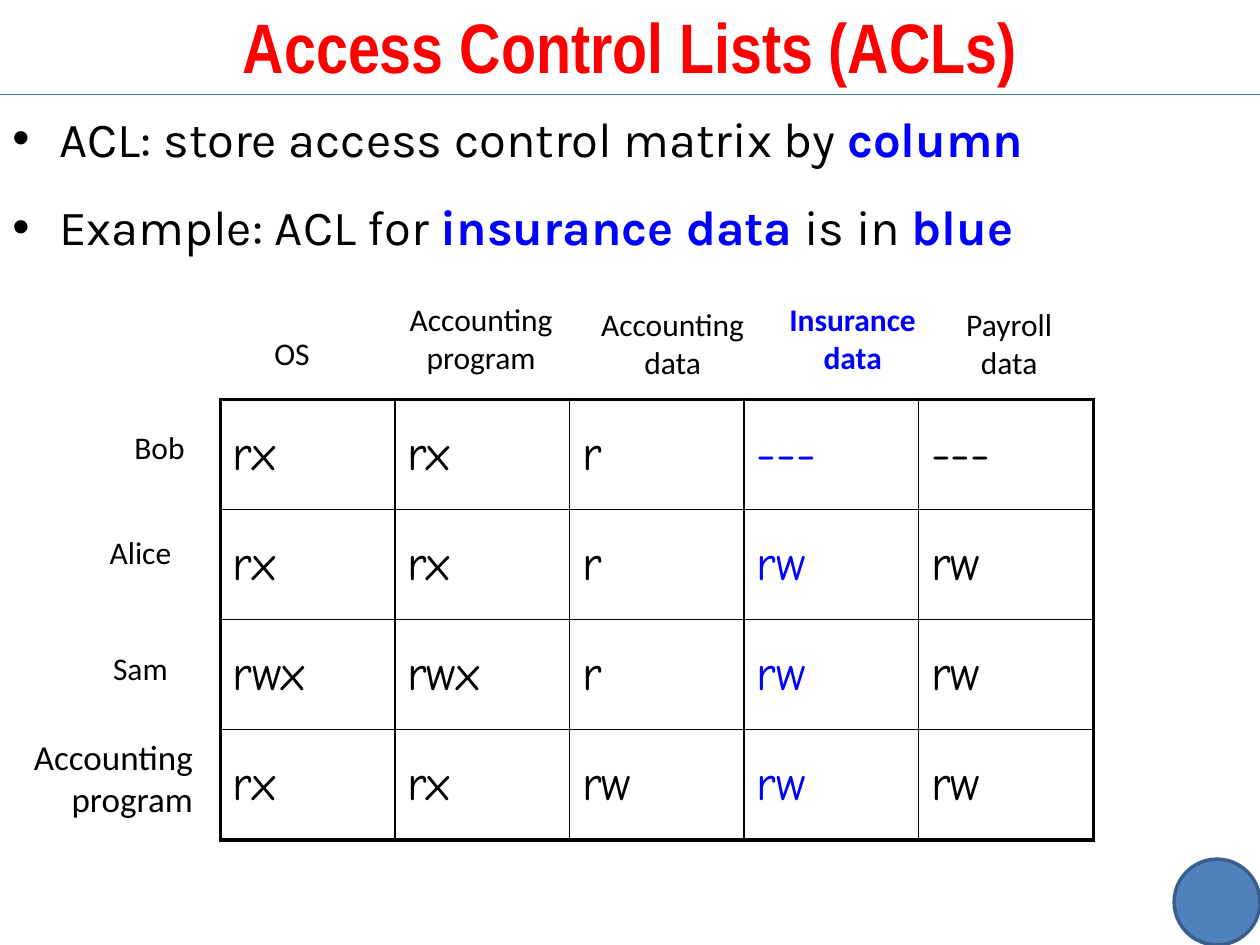
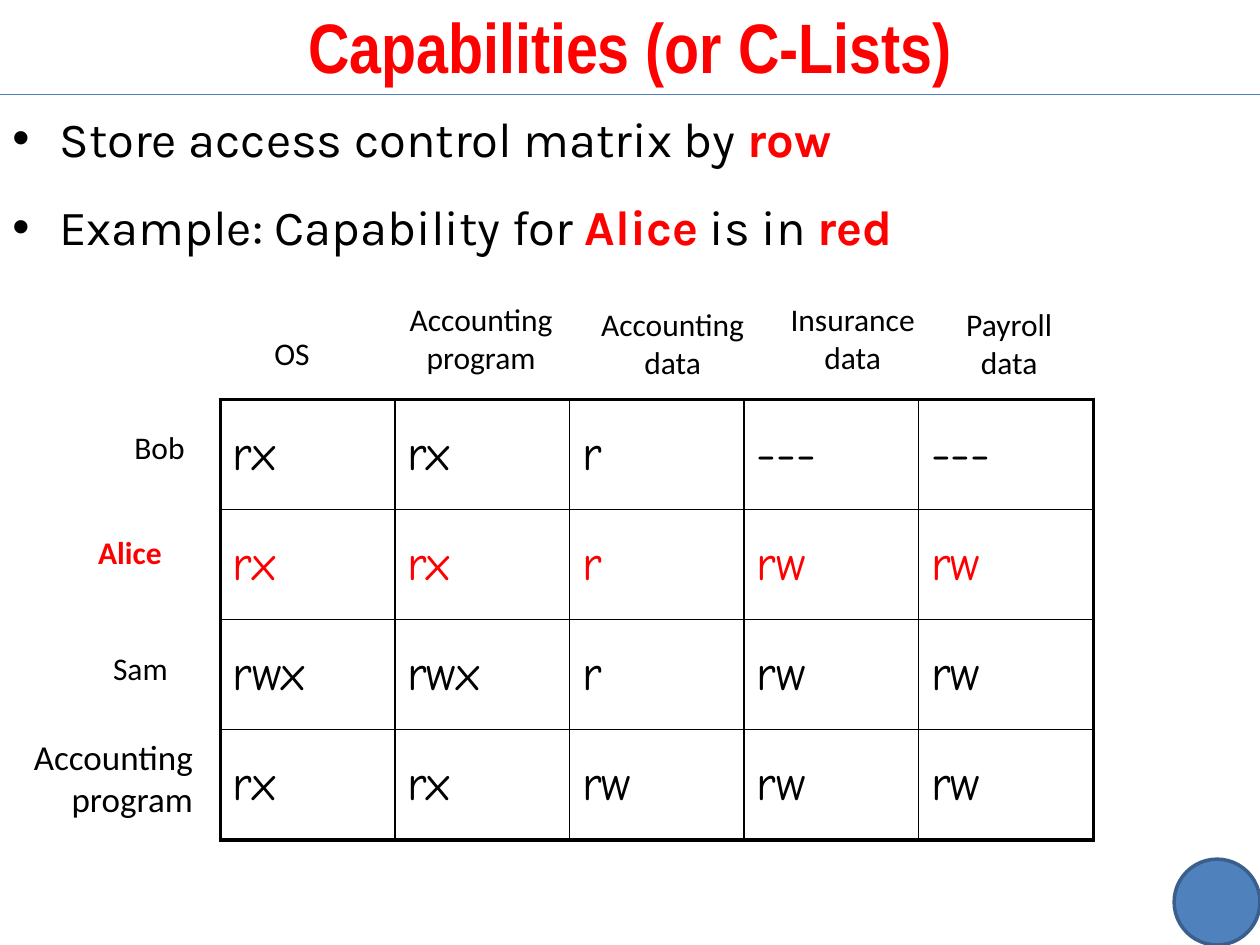
from lxml import etree
from pptx import Presentation
from pptx.dml.color import RGBColor
from pptx.enum.shapes import MSO_CONNECTOR, MSO_SHAPE
from pptx.enum.text import MSO_ANCHOR, PP_ALIGN
from pptx.oxml.ns import qn
from pptx.util import Cm, Pt

LEFT, CENTER, RIGHT = PP_ALIGN.LEFT, PP_ALIGN.CENTER, PP_ALIGN.RIGHT
TOP, MIDDLE = MSO_ANCHOR.TOP, MSO_ANCHOR.MIDDLE
STRAIGHT = MSO_CONNECTOR.STRAIGHT
CIRCLE = MSO_SHAPE.FLOWCHART_CONNECTOR

BLACK, BLUE, RED = "000000", "0000FF", "FF0000"
SLIDE_W, SLIDE_H = 25.4, 19.05
HEADER_H = 1.9

# Access control matrix: one row per subject, one column per object
RIGHTS = [
    ["rx", "rx", "r", "---", "---"],
    ["rx", "rx", "r", "rw", "rw"],
    ["rwx", "rwx", "r", "rw", "rw"],
    ["rx", "rx", "rw", "rw", "rw"],
]
INSURANCE_COLUMN, ALICE_ROW = 3, 1

# Labels: text, left, top, width, alignment, size
OBJECTS = [
    ("OS", 5.28, 6.6, 1.78, LEFT, 18),
    ("Accounting\nprogram", 7.82, 5.92, 3.76, CENTER, 18),
    ("Accounting\ndata", 11.68, 6.02, 3.76, CENTER, 18),
    ("Insurance\ndata", 15.44, 5.92, 3.5, CENTER, 18),
    ("Payroll\ndata", 19.1, 6.02, 2.49, CENTER, 18),
]
SUBJECTS = [
    ("Bob", 2.46, 8.51, 1.98, LEFT, 18),
    ("Alice", 1.96, 10.62, 2.49, LEFT, 18),
    ("Sam", 2.03, 12.95, 2.18, LEFT, 18),
    ("Accounting\nprogram", 0, 14.71, 4.14, RIGHT, 20),
]
BOLD_ALICE_SHIFT = -0.23


def color(hex_code):
    return RGBColor.from_string(hex_code)


class Deck:
    title_font, body_font = "Arial Narrow", "Karla"
    label_font, cell_font = "Calibri", "Comic Neue"

    def __init__(self):
        self.prs = Presentation()
        self.prs.slide_width, self.prs.slide_height = Cm(SLIDE_W), Cm(SLIDE_H)
        self.slide = None

    def new_slide(self, title):
        self.slide = self.prs.slides.add_slide(self.prs.slide_layouts[6])
        self.corner_circle()
        self.header_rule()
        heading = self.text_box(0, -0.08, SLIDE_W, 1.98, MIDDLE)
        heading.text = title
        self.style(heading.paragraphs[0], self.title_font, 40, RED, True, CENTER)

    def style(self, paragraph, font, size, hex_code, bold=False, align=LEFT):
        paragraph.alignment = align
        for run in paragraph.runs:
            self.style_run(run, font, size, hex_code, bold)

    def style_run(self, run, font, size, hex_code, bold):
        run.font.name, run.font.size, run.font.bold = font, Pt(size), bold
        run.font.color.rgb = color(hex_code)

    def text_box(self, left, top, width, height, anchor=TOP):
        box = self.slide.shapes.add_textbox(Cm(left), Cm(top), Cm(width), Cm(height))
        frame = box.text_frame
        frame.word_wrap = True
        frame.vertical_anchor = anchor
        return frame

    def corner_circle(self):
        size = 1.73
        circle = self.slide.shapes.add_shape(
            CIRCLE, Cm(SLIDE_W - size), Cm(SLIDE_H - size), Cm(size), Cm(size))
        circle.shadow.inherit = False
        circle.fill.solid()
        circle.fill.fore_color.rgb = color("4F81BD")
        circle.line.color.rgb = color("3A5F8C")
        circle.line.width = Pt(2)

    def header_rule(self):
        rule = self.slide.shapes.add_connector(
            STRAIGHT, 0, Cm(HEADER_H), Cm(SLIDE_W), Cm(HEADER_H))
        rule.line.color.rgb = color("4B7EBC")
        rule.line.width = Pt(0.75)
        etree.SubElement(rule._element.spPr, qn("a:effectLst"))

    def bullets(self, lines, accent):
        """Text between asterisks is bold and in the accent colour."""
        frame = self.text_box(0, HEADER_H, SLIDE_W, SLIDE_H - HEADER_H)
        for number, line in enumerate(lines):
            paragraph = frame.add_paragraph() if number else frame.paragraphs[0]
            paragraph.line_spacing = 1.14
            paragraph.space_before = paragraph.space_after = Pt(6)
            for part, words in enumerate(line.split("*")):
                if words:
                    run = paragraph.add_run()
                    run.text = words
                    strong = part % 2 == 1
                    self.style_run(run, self.body_font, 28,
                                   accent if strong else BLACK, strong)
            props = paragraph._p.get_or_add_pPr()
            props.set("marL", str(Cm(0.95)))
            props.set("indent", str(-Cm(0.95)))
            etree.SubElement(props, qn("a:buFont"), typeface="Arial")
            etree.SubElement(props, qn("a:buChar"), char="•")

    def label(self, text, left, top, width, align, size, accent=None):
        lines = text.split("\n")
        frame = self.text_box(left, top, width, 1.45 if len(lines) == 1 else 2.03)
        frame.text = text
        for paragraph in frame.paragraphs:
            self.style(paragraph, self.label_font, size, accent or BLACK,
                       accent is not None, align)

    def matrix(self, cell_color):
        rows, cols = len(RIGHTS), len(RIGHTS[0])
        col_w, row_h = 3.52, 2.22
        table = self.slide.shapes.add_table(
            rows, cols, Cm(4.44), Cm(8.05), Cm(col_w * cols), Cm(row_h * rows)).table
        table.first_row = table.horz_banding = False
        for column in table.columns:
            column.width = Cm(col_w)
        for r, rights in enumerate(RIGHTS):
            table.rows[r].height = Cm(row_h)
            for c, right in enumerate(rights):
                cell = table.cell(r, c)
                cell.fill.background()
                cell.vertical_anchor = MIDDLE
                cell.text = right
                paragraph = cell.text_frame.paragraphs[0]
                paragraph.space_before = Pt(5.6)
                self.style(paragraph, self.cell_font, 28, cell_color(r, c))
                self.cell_borders(cell, {"lnL": c == 0, "lnR": c == cols - 1,
                                         "lnT": r == 0, "lnB": r == rows - 1})

    def cell_borders(self, cell, outer_sides):
        props = cell._tc.get_or_add_tcPr()
        for position, (side, outer) in enumerate(outer_sides.items()):
            border = etree.Element(qn("a:" + side), w=str(Pt(2.25 if outer else 1)))
            fill = etree.SubElement(border, qn("a:solidFill"))
            etree.SubElement(fill, qn("a:srgbClr"), val=BLACK)
            props.insert(position, border)


def main():
    deck = Deck()

    # Access control lists: the insurance column stands out
    deck.new_slide("Access Control Lists (ACLs)")
    deck.bullets(["ACL: store access control matrix by *column*",
                  "Example: ACL for *insurance data* is in *blue*"], BLUE)
    deck.matrix(lambda r, c: BLUE if c == INSURANCE_COLUMN else BLACK)
    for c, heading in enumerate(OBJECTS):
        deck.label(*heading, accent=BLUE if c == INSURANCE_COLUMN else None)
    for subject in SUBJECTS:
        deck.label(*subject)

    # Capabilities: Alice's row stands out
    deck.new_slide("Capabilities (or C-Lists)")
    deck.bullets(["Store access control matrix by *row*",
                  "Example: Capability for *Alice* is in *red*"], RED)
    deck.matrix(lambda r, c: RED if r == ALICE_ROW else BLACK)
    for heading in OBJECTS:
        deck.label(*heading)
    for r, (name, left, *rest) in enumerate(SUBJECTS):
        if r == ALICE_ROW:
            deck.label(name, left + BOLD_ALICE_SHIFT, *rest, accent=RED)
        else:
            deck.label(name, left, *rest)

    deck.prs.save("out.pptx")


if __name__ == "__main__":
    main()
